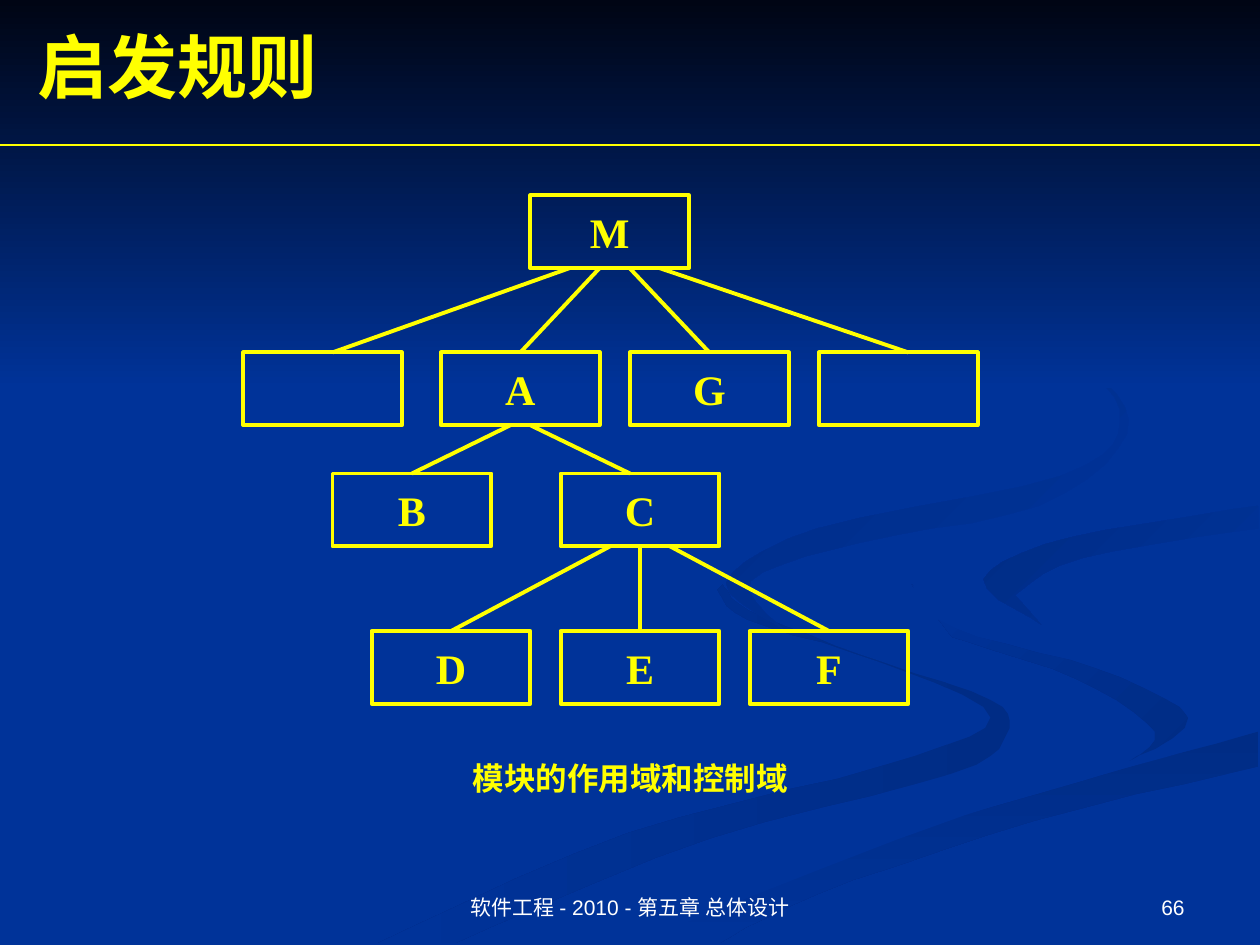
"""Build the slide on heuristic rules: scope of effect and scope of control of modules."""
from dataclasses import dataclass

from lxml.etree import SubElement
from pptx import Presentation
from pptx.dml.color import RGBColor
from pptx.enum.shapes import MSO_CONNECTOR, MSO_SHAPE
from pptx.enum.text import MSO_ANCHOR, PP_ALIGN
from pptx.oxml.ns import qn
from pptx.util import Pt


@dataclass(frozen=True)
class Theme:
    """Hold the colours and type sizes of the slide."""
    background: str = "003399"
    band_top: str = "000514"
    ribbon: str = "002C85"
    yellow: str = "FFFF00"
    white: str = "FFFFFF"
    serif: str = "Times New Roman"
    sans: str = "Arial"
    title_size: float = 40
    node_size: float = 24
    caption_size: float = 18
    footer_size: float = 12
    diagram_line: float = 2.25
    rule_line: float = 0.75


THEME = Theme()
SLIDE_WIDTH, SLIDE_HEIGHT = 720, 540
NODE_WIDTH, NODE_HEIGHT = 90.72, 41.6
LINK_STEP = 5.7
CURVE_STEPS = 5

ROWS = [
    (111.6, {"M": 303}),
    (201.4, {"left": 139, "A": 252, "G": 360, "right": 468}),
    (270.6, {"B": 190, "C": 320.4}),
    (360.6, {name: 212.4 + 108 * index for index, name in enumerate("DEF")}),
]
UNLABELLED = ("left", "right")

LINKS = [
    ("M", "left", -4, 1), ("M", "A", -1, 0), ("M", "G", 2, 0), ("M", "right", 5, 1),
    ("A", "B", -1, 0), ("A", "C", 1, -1),
    ("C", "D", -3, 0), ("C", "E", 0, 0), ("C", "F", 3, 0),
]

DARK_TO_BLUE = (THEME.ribbon, THEME.background)
BLUE_TO_DARK = (THEME.background, THEME.ribbon)
RIBBONS = [
    (DARK_TO_BLUE, 180, [
        [(413, 334), (428, 349), (491, 374), (566, 400), (575, 420), (544, 442), (406, 479),
         (260, 539)],
        [(216, 539), (359, 476), (503, 438), (566, 410), (502, 378), (427, 354), (410, 337)]]),
    (DARK_TO_BLUE, 225, [
        [(521, 334), (546, 359), (626, 382), (679, 410), (644, 436)],
        [(644, 436), (660, 418), (615, 388), (544, 364)]]),
    (DARK_TO_BLUE, 90, [
        [(362, 539), (454, 499), (550, 466), (719, 418)],
        [(719, 438), (591, 469), (467, 511), (411, 539)]]),
    ((THEME.background,), 0, [
        [(343, 539), (477, 481), (642, 436), (679, 410), (627, 382), (546, 359), (522, 334),
         (566, 303), (719, 279)],
        [(719, 289), (612, 307), (562, 333), (624, 366), (719, 387)],
        [(719, 418), (551, 466), (362, 539)]]),
    (BLUE_TO_DARK, 225, [
        [(719, 289), (612, 307), (562, 331), (595, 357)],
        [(580, 340), (618, 319), (719, 302)]]),
    (BLUE_TO_DARK, 225, [
        [(549, 168), (622, 210), (644, 248), (594, 289), (492, 310), (429, 332), (448, 360)],
        [(448, 360), (415, 333), (467, 302), (606, 272), (640, 241), (616, 205), (549, 168)]]),
]


def color(value):
    """Return the colour for a hexadecimal value."""
    return RGBColor.from_string(value)


def smooth(points):
    """Return a Catmull-Rom curve through the points."""
    padded = [points[0], *points, points[-1]]
    curve = [points[0]]
    for knots in zip(padded, padded[1:], padded[2:], padded[3:]):
        for step in range(1, CURVE_STEPS + 1):
            t = step / CURVE_STEPS
            curve.append(tuple(
                b + t * (c - a + t * (2 * a - 5 * b + 4 * c - d + t * (3 * b - a - 3 * c + d))) / 2
                for a, b, c, d in zip(*knots)))
    return curve


def paint(shape, colors, angle):
    """Fill a shape without outline, using one colour or a clockwise gradient of two."""
    shape.shadow.inherit = False
    shape.line.fill.background()
    if len(colors) == 1:
        shape.fill.solid()
        shape.fill.fore_color.rgb = color(colors[0])
        return
    shape.fill.gradient()
    shape.fill.gradient_angle = -angle % 360
    for stop, value in zip(shape.fill.gradient_stops, colors):
        stop.color.rgb = color(value)


def add_ribbon(slide, colors, angle, edges):
    """Draw one closed background ribbon bounded by smooth edges."""
    points = [point for edge in edges for point in smooth(edge)]
    builder = slide.shapes.build_freeform(*points[0], scale=Pt(1))
    builder.add_line_segments(points[1:], close=True)
    paint(builder.convert_to_shape(), colors, angle)


def write_text(shape, text, *, size, font=THEME.serif, fill=THEME.yellow, bold=True,
               align=PP_ALIGN.CENTER, anchor=MSO_ANCHOR.MIDDLE):
    """Write formatted text into a shape."""
    frame = shape.text_frame
    frame.word_wrap = True
    frame.vertical_anchor = anchor
    paragraph = frame.paragraphs[0]
    paragraph.text = text
    paragraph.alignment = align
    paragraph.font.name = font
    paragraph.font.size = Pt(size)
    paragraph.font.bold = bold
    paragraph.font.color.rgb = color(fill)


def add_label(slide, text, left, top, width, height, **text_format):
    """Add a text box with formatted text."""
    box = slide.shapes.add_textbox(Pt(left), Pt(top), Pt(width), Pt(height))
    write_text(box, text, **text_format)


def add_node(slide, name, left, top):
    """Add one outlined module box."""
    shape = slide.shapes.add_shape(
        MSO_SHAPE.RECTANGLE, Pt(left), Pt(top), Pt(NODE_WIDTH), Pt(NODE_HEIGHT))
    shape.shadow.inherit = False
    shape.fill.background()
    shape.line.color.rgb = color(THEME.yellow)
    shape.line.width = Pt(THEME.diagram_line)
    if name not in UNLABELLED:
        write_text(shape, name, size=THEME.node_size)
    return shape


def add_line(slide, start, end, width):
    """Add a straight yellow line between two positions."""
    connector = slide.shapes.add_connector(MSO_CONNECTOR.STRAIGHT, *start, *end)
    connector.line.color.rgb = color(THEME.yellow)
    connector.line.width = Pt(width)
    SubElement(connector._element.spPr, qn("a:effectLst"))
    return connector


def add_link(slide, parent, child, start_steps, end_steps):
    """Link the bottom of a parent to the top of a child, joining at side middles."""
    start = (parent.left + parent.width // 2 + Pt(start_steps * LINK_STEP),
             parent.top + parent.height)
    end = (child.left + child.width // 2 + Pt(end_steps * LINK_STEP), child.top)
    connector = add_line(slide, start, end, THEME.diagram_line)
    if start_steps == 0:
        connector.begin_connect(parent, 2)
    if end_steps == 0:
        connector.end_connect(child, 0)


def add_backdrop(slide):
    """Set the background, the ribbons and the dark band at the top."""
    slide.background.fill.solid()
    slide.background.fill.fore_color.rgb = color(THEME.background)
    for ribbon in RIBBONS:
        add_ribbon(slide, *ribbon)
    band = slide.shapes.add_shape(MSO_SHAPE.RECTANGLE, 0, 0, Pt(SLIDE_WIDTH), Pt(222))
    paint(band, (THEME.band_top, THEME.background), 90)


def main():
    """Build and save the slide."""
    presentation = Presentation()
    presentation.slide_width, presentation.slide_height = Pt(SLIDE_WIDTH), Pt(SLIDE_HEIGHT)
    slide = presentation.slides.add_slide(presentation.slide_layouts[6])
    add_backdrop(slide)
    add_label(slide, "启发规则", 14.4, 10, 705.6, 55.4, size=THEME.title_size, align=PP_ALIGN.LEFT)
    add_line(slide, (0, Pt(82.8)), (Pt(SLIDE_WIDTH), Pt(82.8)), THEME.rule_line)
    nodes = {name: add_node(slide, name, left, top)
             for top, row in ROWS for name, left in row.items()}
    for parent, child, *steps in LINKS:
        add_link(slide, nodes[parent], nodes[child], *steps)
    add_label(slide, "模块的作用域和控制域", 178.6, 430, 362.8, 28.8,
              size=THEME.caption_size, anchor=MSO_ANCHOR.TOP)
    footer = dict(size=THEME.footer_size, font=THEME.sans, fill=THEME.white, bold=False,
                  anchor=MSO_ANCHOR.BOTTOM)
    add_label(slide, "软件工程 - 2010 - 第五章 总体设计", 246, 491.8, 228, 37.4, **footer)
    add_label(slide, "66", 516, 491.8, 168, 37.4, align=PP_ALIGN.RIGHT, **footer)
    presentation.save("out.pptx")


if __name__ == "__main__":
    main()
